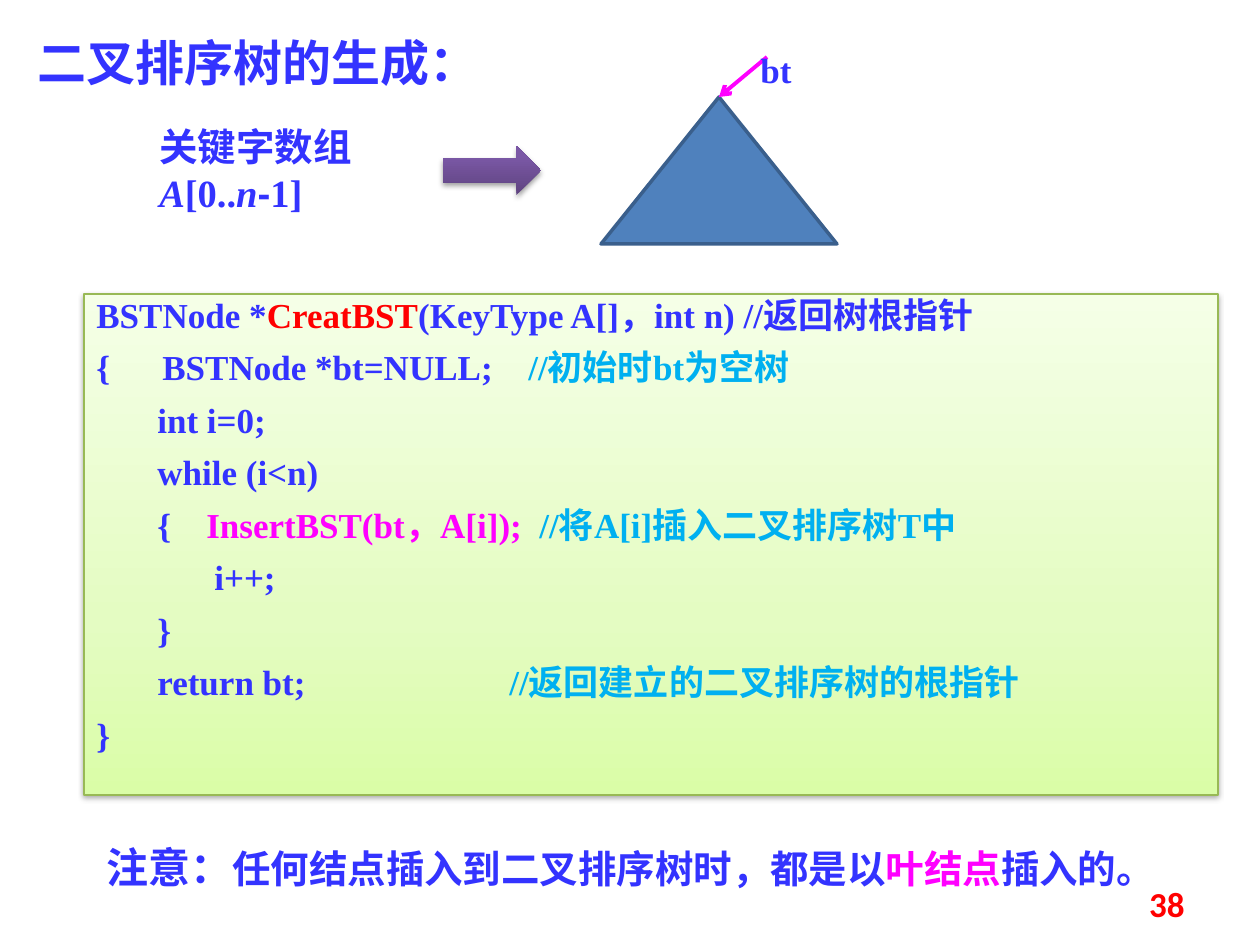
import lxml.etree
import pptx
import pptx.dml.color
import pptx.enum.shapes
import pptx.enum.text
import pptx.oxml
import pptx.oxml.ns
import pptx.util

PX = 914400 / 126
COLORS = {
    "blue": "3333FF", "red": "FF0000", "magenta": "FF00FF", "cyan": "00B0F0",
    "green line": "98B955", "triangle": "4F81BD", "triangle line": "3A5F8C",
}
RGB = {name: pptx.dml.color.RGBColor.from_string(value) for name, value in COLORS.items()}
SERIF, SANS = "Times New Roman", "Noto Sans CJK SC"
SHAPES = pptx.enum.shapes.MSO_SHAPE
qn = pptx.oxml.ns.qn


def add_runs(paragraph, size, runs, font=SERIF):
    """Each run is (text, color name, optional italic, optional font)."""
    for text, color, *rest in runs:
        run = paragraph.add_run()
        run.text = text
        run.font.size = pptx.util.Pt(size)
        run.font.bold = True
        run.font.italic = bool(rest and rest[0])
        run.font.name = rest[1] if len(rest) > 1 else font
        run.font.color.rgb = RGB[color]
        east_asian = lxml.etree.Element(qn("a:ea"), typeface=SANS)
        run.font._element.find(qn("a:latin")).addnext(east_asian)


def add_gradient_shape(kind, box, stops, line_color=None):
    shape = slide.shapes.add_shape(kind, *[round(value * PX) for value in box])
    shape.fill.gradient()
    shape.fill.gradient_angle = 90
    properties = shape._element.spPr
    stop_list = properties.find(qn("a:gradFill")).find(qn("a:gsLst"))
    for old_stop in list(stop_list):
        stop_list.remove(old_stop)
    for position, color in stops:
        stop = lxml.etree.SubElement(stop_list, qn("a:gs"), pos=str(position * 1000))
        lxml.etree.SubElement(stop, qn("a:srgbClr"), val=color)
    if line_color:
        shape.line.color.rgb = RGB[line_color]
        shape.line.width = pptx.util.Pt(0.75)
    else:
        shape.line.fill.background()
    properties.append(pptx.oxml.parse_xml(
        '<a:effectLst xmlns:a="http://schemas.openxmlformats.org/drawingml/2006/main">'
        '<a:outerShdw blurRad="39400" dist="21600" dir="5400000" rotWithShape="0">'
        '<a:srgbClr val="000000"><a:alpha val="37000"/></a:srgbClr>'
        '</a:outerShdw></a:effectLst>'))
    return shape


presentation = pptx.Presentation()
presentation.slide_width = pptx.util.Inches(10)
presentation.slide_height = pptx.util.Inches(7.5)
slide = presentation.slides.add_slide(presentation.slide_layouts[5])

# Title
title = slide.shapes.title
title.left, title.top, title.width, title.height = [round(v * PX) for v in (25, 26, 576, 72)]
title.text_frame.vertical_anchor = pptx.enum.text.MSO_ANCHOR.TOP
title.text_frame.auto_size = pptx.enum.text.MSO_AUTO_SIZE.NONE
title.text_frame.paragraphs[0].alignment = pptx.enum.text.PP_ALIGN.LEFT
add_runs(title.text_frame.paragraphs[0], 28, [("二叉排序树的生成：", "blue")])

# Code panel: each line has its tab stops in px and its runs
code_lines = [
    ([], [("BSTNode *", "blue"), ("CreatBST", "red"),
          ("(KeyType A[]，int n) //返回树根指针", "blue")]),
    ([66, 432], [("{\tBSTNode *bt=NULL;\t", "blue"), ("//初始时bt为空树", "cyan")]),
    ([61], [("\tint i=0;", "blue")]),
    ([61], [("\twhile (i<n)", "blue")]),
    ([61, 110], [("\t{\t", "blue"), ("InsertBST(bt，A[i]); ", "magenta"),
                 (" //将A[i]插入二叉排序树T中", "cyan")]),
    ([118], [("\ti++;", "blue")]),
    ([61], [("\t}", "blue")]),
    ([61, 413], [("\treturn bt;\t", "blue"), ("//返回建立的二叉排序树的根指针", "cyan")]),
    ([], [("}", "blue")]),
]
panel = add_gradient_shape(SHAPES.RECTANGLE, (84, 294, 1134, 501),
                           [(0, "DAFDA7"), (35, "E4FCC2"), (100, "F5FFE7")], "green line")
panel.text_frame.word_wrap = True
panel.text_frame.vertical_anchor = pptx.enum.text.MSO_ANCHOR.TOP
for index, (tab_stops, runs) in enumerate(code_lines):
    paragraph = panel.text_frame.add_paragraph() if index else panel.text_frame.paragraphs[0]
    paragraph.alignment = pptx.enum.text.PP_ALIGN.LEFT
    paragraph.line_spacing = pptx.util.Pt(20)
    paragraph.space_before = pptx.util.Pt(10 if index else 0)
    if tab_stops:
        tab_list = lxml.etree.SubElement(paragraph._p.get_or_add_pPr(), qn("a:tabLst"))
        for stop in tab_stops:
            lxml.etree.SubElement(tab_list, qn("a:tab"), pos=str(round(stop * PX)), algn="l")
    add_runs(paragraph, 20, runs)

# Arrow from the key array to the tree
add_gradient_shape(SHAPES.RIGHT_ARROW, (443, 146, 98, 49),
                   [(0, "5F4480"), (80, "7B58A6"), (100, "7C57A8")])

# Tree with its root pointer
tree = slide.shapes.add_group_shape()
triangle = tree.shapes.add_shape(SHAPES.ISOSCELES_TRIANGLE,
                                 *[round(v * PX) for v in (601, 97, 236, 147)])
triangle.shadow.inherit = False
triangle.fill.solid()
triangle.fill.fore_color.rgb = RGB["triangle"]
triangle.line.color.rgb = RGB["triangle line"]
triangle.line.width = pptx.util.Pt(2)
pointer = tree.shapes.add_connector(pptx.enum.shapes.MSO_CONNECTOR.STRAIGHT,
                                    *[round(v * PX) for v in (767, 57, 719, 97)])
pointer.line.color.rgb = RGB["magenta"]
pointer.line.width = pptx.util.Pt(2.25)
lxml.etree.SubElement(pointer.line._get_or_add_ln(), qn("a:tailEnd"), type="arrow")
lxml.etree.SubElement(pointer._element.spPr, qn("a:effectLst"))

# Labels, note and page number
texts = [
    (tree, (748, 42, 108, 55), 20, SERIF, "LEFT", [("bt", "blue")]),
    (slide, (147, 117, 266, 106), 22, SERIF, "LEFT",
     [("关键字数组", "blue"), ("A", "blue", True), ("[0..", "blue"), ("n", "blue", True),
      ("-", "blue", False, "Arial"), ("1]", "blue")]),
    (slide, (94, 835, 1101, 63), 22, SANS, "LEFT",
     [("注意：", "blue"), ("任何结点插入到二叉排序树时，都是以", "blue"),
      ("叶结点", "magenta"), ("插入的。", "blue")]),
    (slide, (903, 876, 294, 50), 20, "Calibri", "RIGHT", [("38", "red")]),
]
for parent, box, size, font, alignment, runs in texts:
    text_box = parent.shapes.add_textbox(*[round(value * PX) for value in box])
    text_box.text_frame.word_wrap = True
    paragraph = text_box.text_frame.paragraphs[0]
    paragraph.alignment = pptx.enum.text.PP_ALIGN[alignment]
    add_runs(paragraph, size, runs, font)
    if runs[0][0] == "注意：":
        paragraph.runs[0].font.size = pptx.util.Pt(24)

presentation.save("out.pptx")
